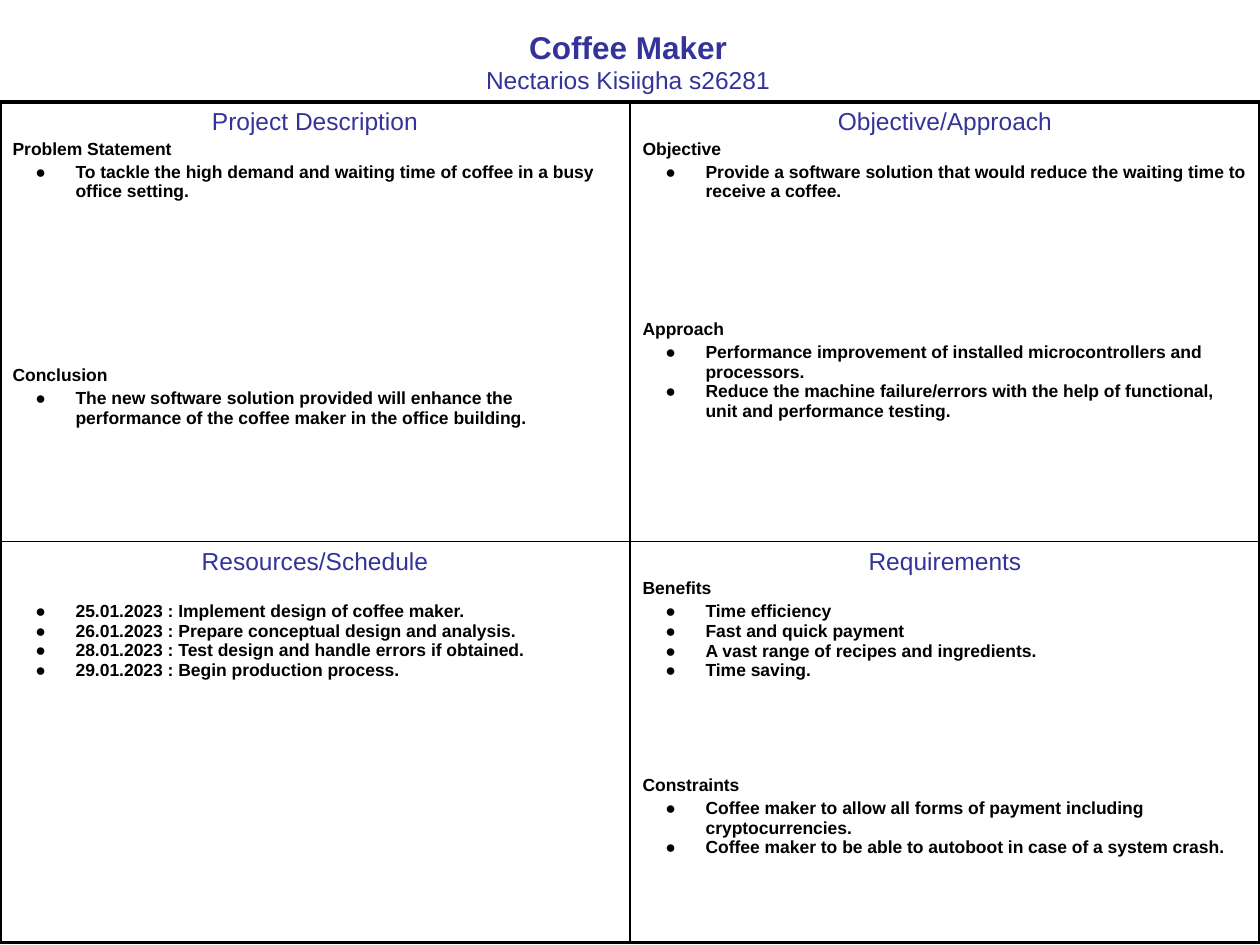
from lxml import etree
from pptx import Presentation
from pptx import util as u
from pptx.dml import color
from pptx.enum import text
from pptx.oxml import ns

COLORS = {"heading": "333399", "body": "000000", "border": "000000"}
FORMATS = {
    "title": {"size": u.Pt(18), "bold": True},
    "heading": {"size": u.Pt(14), "bold": False},
    "body": {"size": u.Pt(10), "bold": True},
}
LINE_STEP = 13.14
OUTER, INNER = 2.25, 1


class QuadChart:
    def __init__(self, page, font="Arial"):
        self.page = page
        self.font = font

    def add_words(self, para, words, style, centered=False, before=0):
        para.alignment = text.PP_ALIGN.CENTER if centered else text.PP_ALIGN.LEFT
        para.space_before = u.Pt(before)
        span = para.add_run()
        span.text = words
        span.font.name = self.font
        for name, value in FORMATS[style].items():
            setattr(span.font, name, value)
        tone = COLORS["body" if style == "body" else "heading"]
        span.font.color.rgb = color.RGBColor.from_string(tone)

    def bullet(self, para):
        props = para._p.get_or_add_pPr()
        props.set("marL", str(u.Inches(0.5)))
        props.set("indent", str(u.Inches(-0.32)))
        tint = etree.SubElement(props, ns.qn("a:buClr"))
        etree.SubElement(tint, ns.qn("a:srgbClr"), val=COLORS["body"])
        etree.SubElement(props, ns.qn("a:buFont"), typeface=self.font)
        etree.SubElement(props, ns.qn("a:buChar"), char="●")

    def title(self, lines, left, top, width, height):
        box = self.page.shapes.add_textbox(*map(u.Inches, (left, top, width, height)))
        frame = box.text_frame
        frame.word_wrap = True
        for index, (words, style) in enumerate(lines):
            para = frame.add_paragraph() if index else frame.paragraphs[0]
            self.add_words(para, words, style, centered=True)

    def borders(self, cell, widths):
        props = cell._tc.get_or_add_tcPr()
        for index, (side, width) in enumerate(widths.items()):
            line = etree.Element(ns.qn(f"a:ln{side}"), w=str(u.Pt(width)))
            fill = etree.SubElement(line, ns.qn("a:solidFill"))
            etree.SubElement(fill, ns.qn("a:srgbClr"), val=COLORS["border"])
            props.insert(index, line)

    def quadrant(self, cell, heading, sections):
        frame = cell.text_frame
        self.add_words(frame.paragraphs[0], heading, "heading", centered=True)
        for label, gap_lines, items in sections:
            before = 2 + gap_lines * LINE_STEP
            if label:
                self.add_words(frame.add_paragraph(), label, "body", before=before)
                before = 2
            for item in items:
                para = frame.add_paragraph()
                self.add_words(para, item, "body", before=before)
                self.bullet(para)
                before = 0

    def table(self, quadrants, top, widths, heights):
        size = (0, top, sum(widths), sum(heights))
        table = self.page.shapes.add_table(2, 2, *map(u.Inches, size)).table
        table.first_row = table.horz_banding = False
        for column, width in zip(table.columns, widths):
            column.width = u.Inches(width)
        for row, height in zip(table.rows, heights):
            row.height = u.Inches(height)
        for index, (heading, sections) in enumerate(quadrants):
            row, column = divmod(index, 2)
            cell = table.cell(row, column)
            cell.fill.background()
            self.borders(cell, {
                "L": INNER if column else OUTER,
                "R": OUTER if column else INNER,
                "T": INNER if row else OUTER,
                "B": OUTER if row else INNER,
            })
            self.quadrant(cell, heading, sections)


QUADRANTS = [
    ("Project Description", [
        ("Problem Statement", 0, [
            "To tackle the high demand and waiting time of coffee in a busy office setting."]),
        ("Conclusion", 7, [
            "The new software solution provided will enhance the performance of the "
            "coffee maker in the office building."]),
    ]),
    ("Objective/Approach", [
        ("Objective", 0, [
            "Provide a software solution that would reduce the waiting time to receive a coffee."]),
        ("Approach", 5, [
            "Performance improvement of installed microcontrollers and processors.",
            "Reduce the machine failure/errors with the help of functional, unit and "
            "performance testing."]),
    ]),
    ("Resources/Schedule", [
        (None, 1, [
            "25.01.2023 : Implement design of coffee maker.",
            "26.01.2023 : Prepare conceptual design and analysis.",
            "28.01.2023 : Test design and handle errors if obtained.",
            "29.01.2023 : Begin production process."]),
    ]),
    ("Requirements", [
        ("Benefits", 0, [
            "Time efficiency",
            "Fast and quick payment",
            "A vast range of recipes and ingredients.",
            "Time saving."]),
        ("Constraints", 4, [
            "Coffee maker to allow all forms of payment including cryptocurrencies.",
            "Coffee maker to be able to autoboot in case of a system crash."]),
    ]),
]

deck = Presentation()
deck.slide_width, deck.slide_height = u.Inches(10), u.Inches(7.5)
chart = QuadChart(deck.slides.add_slide(deck.slide_layouts[6]))
chart.title([("Coffee Maker", "title"), ("Nectarios Kisiigha s26281", "heading")],
            0.82, 0.17, 8.33, 0.64)
chart.table(QUADRANTS, 0.81, (5, 5), (3.49, 3.18))
deck.save("out.pptx")
